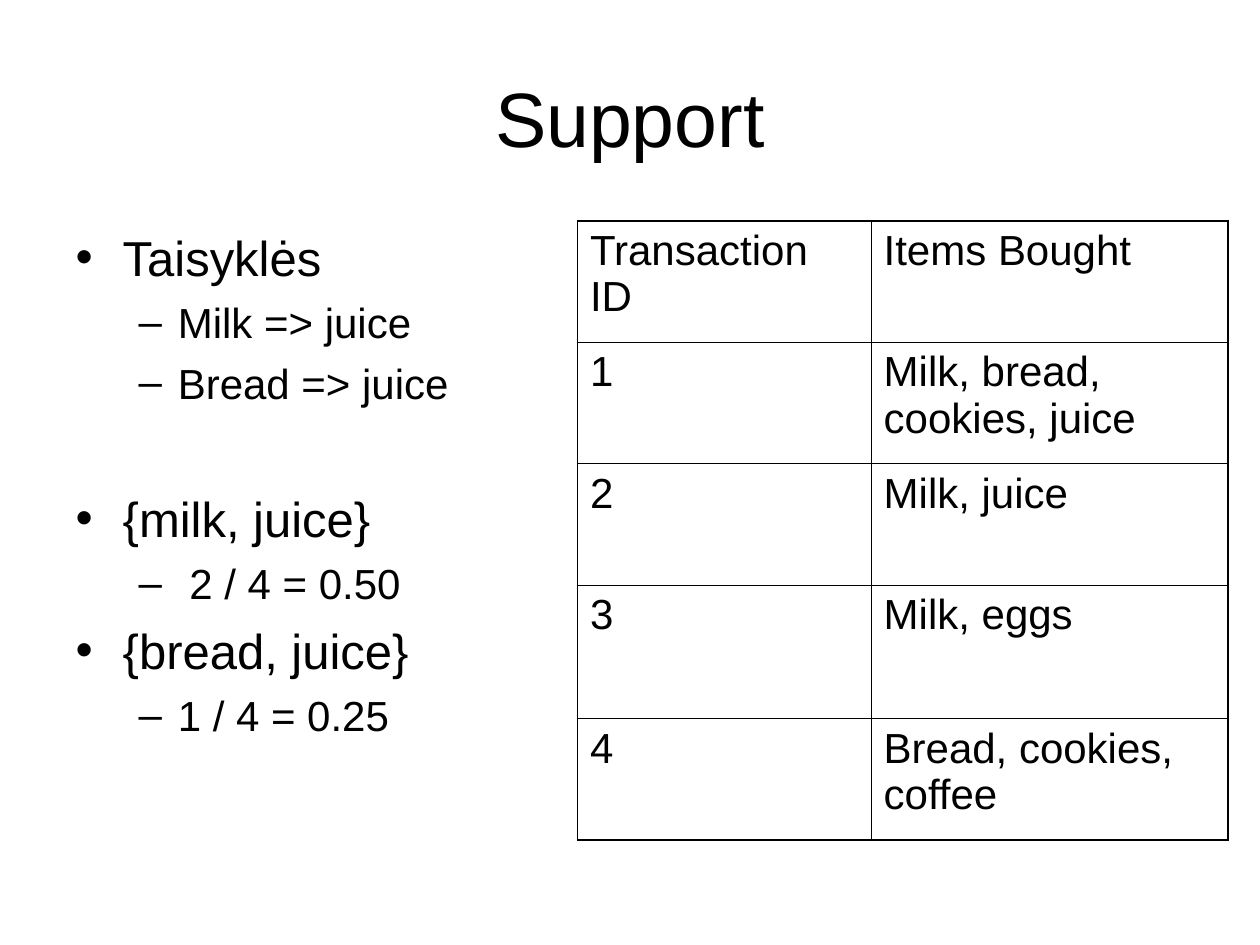
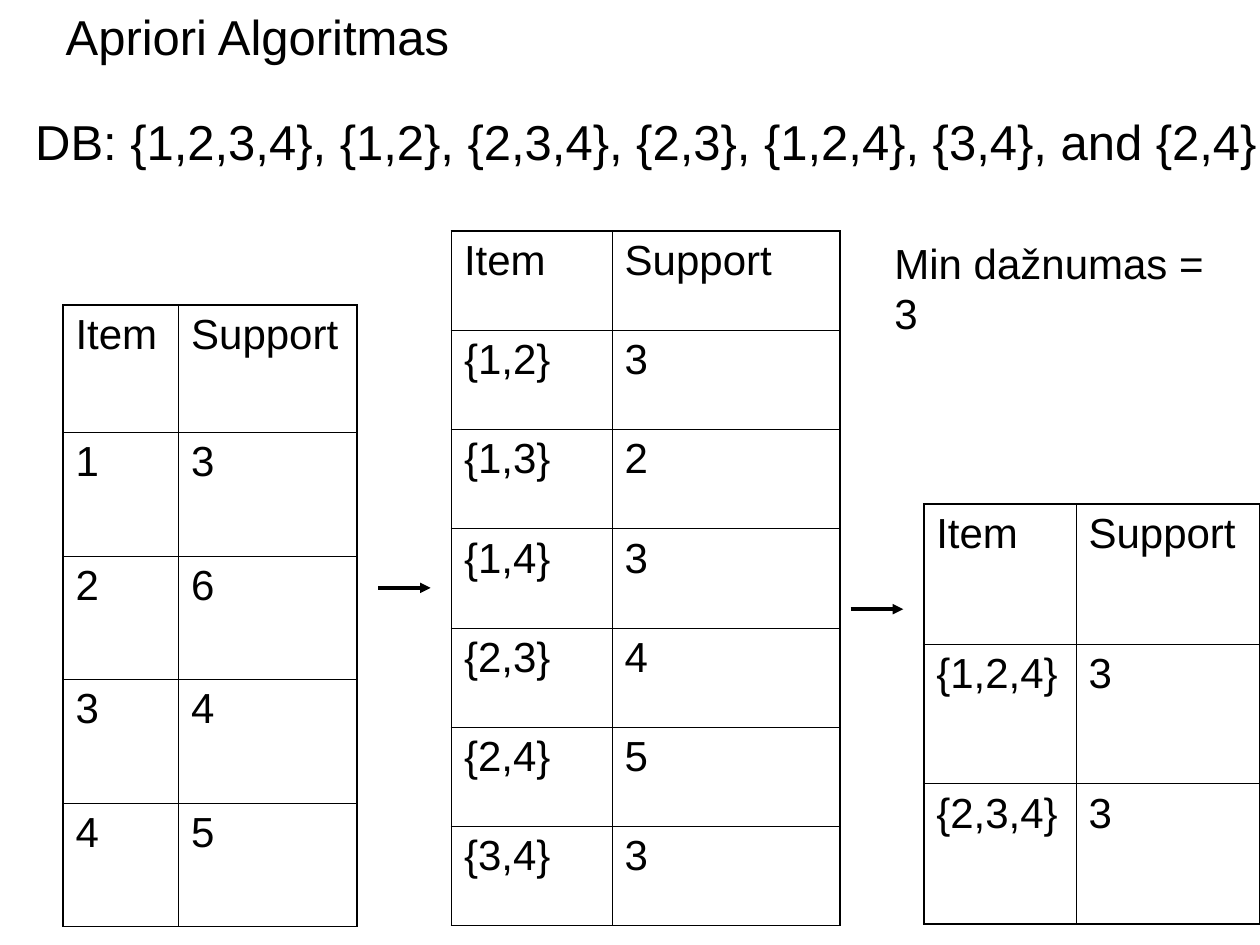
from lxml import etree
from pptx import Presentation
from pptx import util as u
from pptx.dml import color
from pptx.enum import shapes, text
from pptx.oxml import ns

FONT = "Arial"
BLACK = "000000"
THIN, THICK = 0.45, 1.08
TABLE_SIZE = 24
LIST_LEVELS = [
    {"size": 28, "before": 7, "margin": 0.95, "hanging": 0.95},
    {"size": 24, "before": 6, "margin": 2.06, "hanging": 0.79},
]
SECTION_GAP = 46

SUPPORT_TITLE = "Support"
SUPPORT_LIST = [
    (0, "Taisyklės"),
    (1, "Milk => juice"),
    (1, "Bread => juice"),
    (0, "{milk, juice}"),
    (1, " 2 / 4 = 0.50"),
    (0, "{bread, juice}"),
    (1, "1 / 4 = 0.25"),
]
SECTION_START = "{milk, juice}"
TRANSACTIONS = {
    "corner": (11.64, 4.45),
    "columns": [5.92, 7.2],
    "heights": [2.45, 2.45, 2.45, 2.69, 2.45],
    "rows": [
        ("Transaction ID", "Items Bought"),
        ("1", "Milk, bread, cookies, juice"),
        ("2", "Milk, juice"),
        ("3", "Milk, eggs"),
        ("4", "Bread, cookies, coffee"),
    ],
}

APRIORI_TITLE = "Apriori Algoritmas"
DATABASE = "DB: {1,2,3,4}, {1,2}, {2,3,4}, {2,3}, {1,2,4}, {3,4}, and {2,4}"
MINIMUM = "Min dažnumas = 3"
HEADER = ("Item", "Support")
ITEM_SETS = [
    {
        "corner": (1.27, 6.15),
        "columns": [2.33, 3.6],
        "heights": [2.57] + [2.49] * 4,
        "rows": [HEADER, ("1", "3"), ("2", "6"), ("3", "4"), ("4", "5")],
    },
    {
        "corner": (9.1, 4.66),
        "columns": [3.24, 4.6],
        "heights": [2] * 7,
        "rows": [HEADER, ("{1,2}", "3"), ("{1,3}", "2"), ("{1,4}", "3"),
                 ("{2,3}", "4"), ("{2,4}", "5"), ("{3,4}", "3")],
    },
    {
        "corner": (18.62, 10.16),
        "columns": [3.07, 3.71],
        "heights": [2.82] * 3,
        "rows": [HEADER, ("{1,2,4}", "3"), ("{2,3,4}", "3")],
    },
]
ARROW_LENGTH = 1.06
ARROW_STARTS = [(7.62, 11.85), (17.15, 12.28)]


def rgb(value):
    return color.RGBColor.from_string(value)


def place(shape, left, top, width, height):
    shape.left, shape.top = u.Cm(left), u.Cm(top)
    shape.width, shape.height = u.Cm(width), u.Cm(height)


def add_span(para, words, size):
    span = para.add_run()
    span.text = words
    span.font.name = FONT
    span.font.size = u.Pt(size)
    span.font.color.rgb = rgb(BLACK)


def set_title(page, words, size, frame, align, anchor):
    title = page.shapes.title
    place(title, *frame)
    box = title.text_frame
    box.auto_size = text.MSO_AUTO_SIZE.NONE
    box.vertical_anchor = anchor
    box.paragraphs[0].alignment = align
    add_span(box.paragraphs[0], words, size)


def fill_list(holder, items):
    box = holder.text_frame
    box.auto_size = text.MSO_AUTO_SIZE.NONE
    for index, (level, words) in enumerate(items):
        para = box.paragraphs[0] if index == 0 else box.add_paragraph()
        style = LIST_LEVELS[level]
        para.level = level
        para.space_before = u.Pt(SECTION_GAP if words == SECTION_START else style["before"])
        properties = para._p.get_or_add_pPr()
        properties.set("marL", str(u.Cm(style["margin"])))
        properties.set("indent", str(-u.Cm(style["hanging"])))
        add_span(para, words, style["size"])


def add_note(page, words, size, frame, wrap):
    note = page.shapes.add_textbox(*(u.Cm(length) for length in frame))
    box = note.text_frame
    box.word_wrap = wrap
    add_span(box.paragraphs[0], words, size)


def set_borders(cell, widths):
    properties = cell._tc.get_or_add_tcPr()
    for side, width in widths.items():
        border = etree.SubElement(properties, ns.qn(f"a:ln{side}"), w=str(u.Pt(width)))
        solid = etree.SubElement(border, ns.qn("a:solidFill"))
        etree.SubElement(solid, ns.qn("a:srgbClr"), val=BLACK)


def add_grid(page, grid):
    rows, columns, heights = grid["rows"], grid["columns"], grid["heights"]
    frame = (*grid["corner"], sum(columns), sum(heights))
    table = page.shapes.add_table(
        len(rows), len(columns), *(u.Cm(length) for length in frame)).table
    table.first_row = table.horz_banding = False
    for column, width in zip(table.columns, columns):
        column.width = u.Cm(width)
    for row, height in zip(table.rows, heights):
        row.height = u.Cm(height)
    for down, row in enumerate(rows):
        for across, words in enumerate(row):
            cell = table.cell(down, across)
            edges = {"L": across == 0, "R": across == len(columns) - 1,
                     "T": down == 0, "B": down == len(rows) - 1}
            set_borders(cell, {side: THICK if outer else THIN for side, outer in edges.items()})
            cell.fill.background()
            para = cell.text_frame.paragraphs[0]
            para.space_before = u.Pt(6)
            add_span(para, words, TABLE_SIZE)


def add_arrow(page, left, top):
    arrow = page.shapes.add_connector(
        shapes.MSO_CONNECTOR.STRAIGHT,
        u.Cm(left), u.Cm(top), u.Cm(left + ARROW_LENGTH), u.Cm(top))
    arrow.line.color.rgb = rgb(BLACK)
    arrow.line.width = u.Pt(2)
    etree.SubElement(arrow.line._get_or_add_ln(), ns.qn("a:tailEnd"), type="triangle")
    etree.SubElement(arrow._element.spPr, ns.qn("a:effectLst"))


def build_support(deck):
    page = deck.slides.add_slide(deck.slide_layouts[1])
    set_title(page, SUPPORT_TITLE, 44, (1.27, 0.76, 22.86, 3.18),
              text.PP_ALIGN.CENTER, text.MSO_ANCHOR.MIDDLE)
    body = page.placeholders[1]
    place(body, 1.27, 4.45, 11.23, 12.57)
    fill_list(body, SUPPORT_LIST)
    add_grid(page, TRANSACTIONS)


def build_apriori(deck):
    page = deck.slides.add_slide(deck.slide_layouts[5])
    set_title(page, APRIORI_TITLE, 28, (1.07, 0, 8.28, 1.45),
              text.PP_ALIGN.LEFT, text.MSO_ANCHOR.TOP)
    for grid in ITEM_SETS:
        add_grid(page, grid)
    add_note(page, MINIMUM, 24, (17.78, 4.66, 6.78, 2.29), True)
    for start in ARROW_STARTS:
        add_arrow(page, *start)
    add_note(page, DATABASE, 28, (0.46, 2.12, 25.4, 1.45), False)


def main():
    deck = Presentation()
    deck.slide_width, deck.slide_height = u.Cm(25.4), u.Cm(19.05)
    build_support(deck)
    build_apriori(deck)
    deck.save("out.pptx")


if __name__ == "__main__":
    main()
